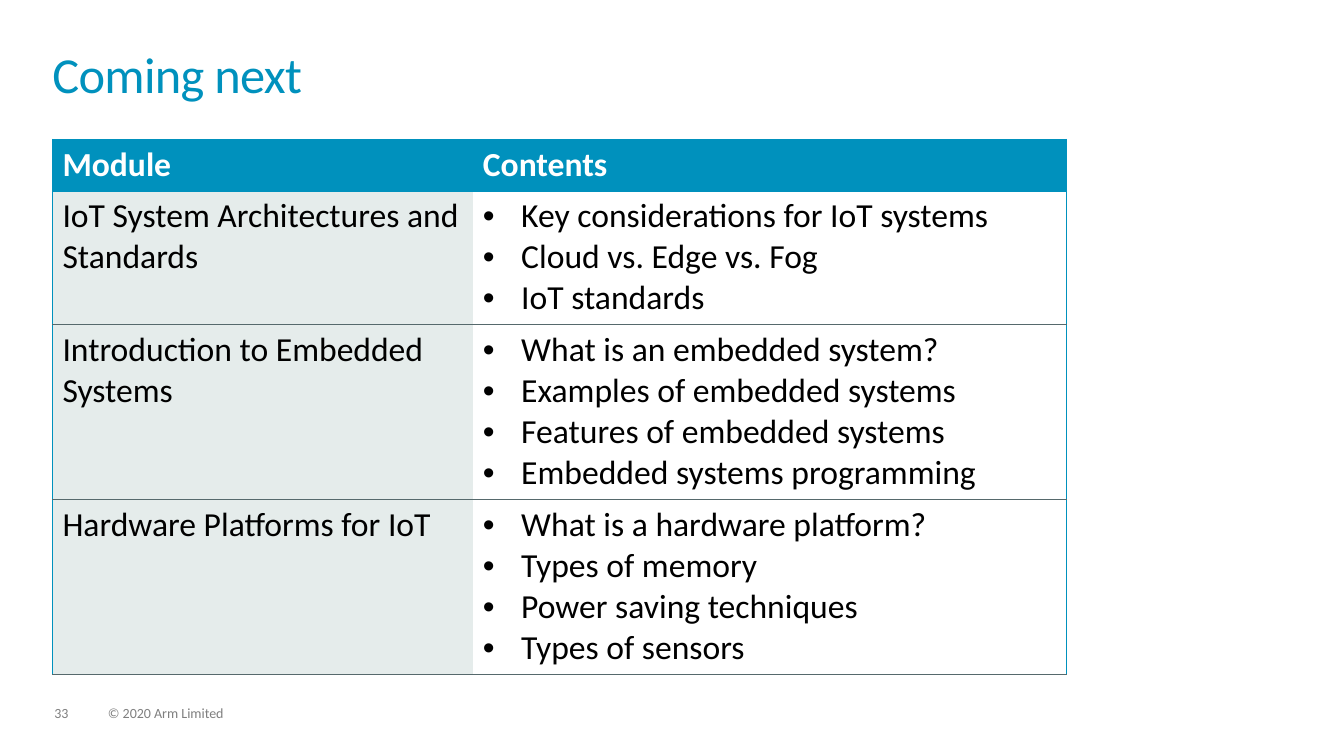
from lxml.etree import SubElement
from pptx import Presentation
from pptx.dml.color import RGBColor
from pptx.enum.text import MSO_ANCHOR
from pptx.oxml import parse_xml
from pptx.oxml.ns import nsdecls, qn
from pptx.util import Inches, Pt

TEAL, PALE, WHITE, BLACK = "0091BD", "E5ECEB", "FFFFFF", "000000"
GREY, RULE = "7F7F7F", "56696C"

TITLE = "Coming next"
HEADS = ["Module", "Contents"]
MODULES = [
    ("IoT System Architectures and Standards",
     ["Key considerations for IoT systems", "Cloud vs. Edge vs. Fog",
      "IoT standards"]),
    ("Introduction to Embedded Systems",
     ["What is an embedded system?", "Examples of embedded systems",
      "Features of embedded systems", "Embedded systems programming"]),
    ("Hardware Platforms for IoT",
     ["What is a hardware platform?", "Types of memory",
      "Power saving techniques", "Types of sensors"]),
]
FOOTER = [("33", 0.54, 0.34), ("© 2020 Arm Limited", 1.07, 1.71)]

LEFT, TOP = 0.52, 1.38
WIDTHS = [4.17, 5.89]
LINE, PAD = 0.407, 0.107  # height of a text line, and of a row's margins


def color(code):
    return RGBColor.from_string(code)


def write(frame, lines, size=24, ink=BLACK, bold=False, bullet=False,
          spacing=None, track=None):
    for i, line in enumerate(lines):
        para = frame.paragraphs[0] if i == 0 else frame.add_paragraph()
        if spacing:
            para.line_spacing = spacing
        if bullet:
            props = para._p.get_or_add_pPr()
            props.set("marL", str(Inches(0.38)))
            props.set("indent", str(-Inches(0.38)))
            SubElement(props, qn("a:buFont"), typeface="Arial")
            SubElement(props, qn("a:buChar"), char="•")
        run = para.add_run()
        run.text = line
        font = run.font
        font.name, font.size, font.bold = "Calibri", Pt(size), bold
        font.color.rgb = color(ink)
        if track:
            run._r.get_or_add_rPr().set("spc", str(int(track * 100)))


def label(slide, text, box, **style):
    frame = slide.shapes.add_textbox(*map(Inches, box)).text_frame
    frame.word_wrap = True
    frame.vertical_anchor = MSO_ANCHOR.TOP
    frame.margin_left = frame.margin_right = 0
    frame.margin_top = frame.margin_bottom = 0
    write(frame, [text], **style)


def edge(cell, left, right, top, bottom):
    """Set the four cell borders; None means no line."""
    props = cell._tc.get_or_add_tcPr()
    for i, (side, ink) in enumerate(zip("LRTB", (left, right, top, bottom))):
        paint = (f'<a:solidFill><a:srgbClr val="{ink}"/></a:solidFill>'
                 if ink else "<a:noFill/>")
        props.insert(i, parse_xml(
            f'<a:ln{side} {nsdecls("a")} w="{Pt(0.5)}">{paint}</a:ln{side}>'))


def grid(slide):
    counts = [1] + [len(topics) for _, topics in MODULES]
    heights = [n * LINE + PAD for n in counts]
    table = slide.shapes.add_table(
        len(heights), len(WIDTHS), Inches(LEFT), Inches(TOP),
        Inches(sum(WIDTHS)), Inches(sum(heights))).table
    table.first_row = table.horz_banding = False
    for col, width in zip(table.columns, WIDTHS):
        col.width = Inches(width)
    for row, height in zip(table.rows, heights):
        row.height = Inches(height)

    rows = [[[head] for head in HEADS]]
    rows += [[[name], topics] for name, topics in MODULES]
    for r, row in enumerate(rows):
        for c, lines in enumerate(row):
            cell, head = table.cell(r, c), r == 0
            cell.fill.solid()
            cell.fill.fore_color.rgb = color(
                TEAL if head else (PALE, WHITE)[c])
            write(cell.text_frame, lines, ink=WHITE if head else BLACK,
                  bold=head, bullet=not head and c == 1)
            edge(cell, None if c else TEAL, TEAL if c else None,
                 TEAL if r < 2 else RULE, TEAL if head else RULE)


def main():
    deck = Presentation()
    deck.slide_width, deck.slide_height = Inches(13.33), Inches(7.5)
    slide = deck.slides.add_slide(deck.slide_layouts[6])
    for text, left, width in FOOTER:
        label(slide, text, (left, 7.01, width, 0.15), size=10, ink=GREY,
              spacing=0.9)
    label(slide, TITLE, (LEFT, 0.52, 12.28, 0.72), size=36, ink=TEAL,
          spacing=0.85, track=-0.5)
    grid(slide)
    deck.save("out.pptx")


if __name__ == "__main__":
    main()
